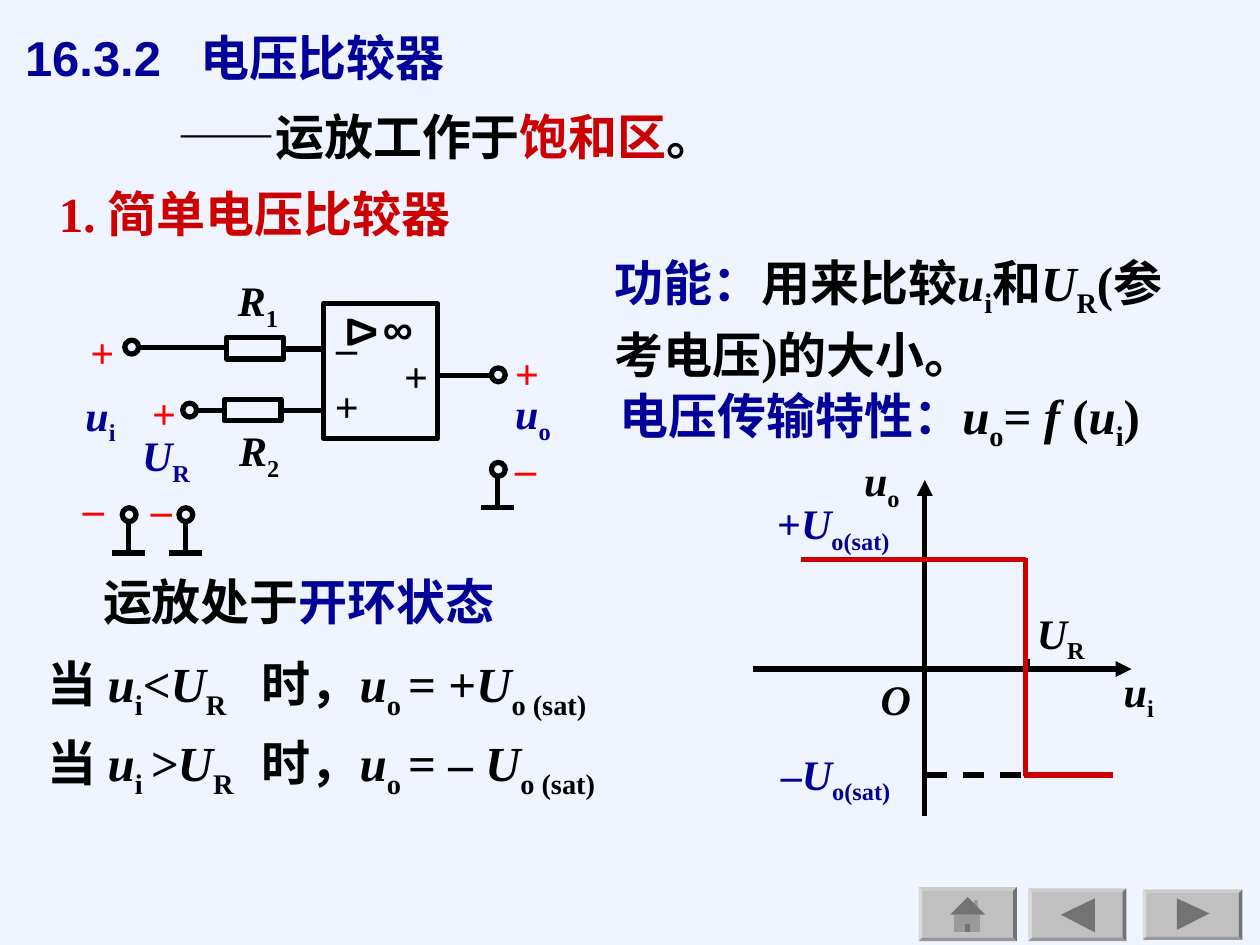
from pptx import Presentation
from pptx.dml.color import RGBColor
from pptx.enum.dml import MSO_LINE
from pptx.enum.shapes import MSO_CONNECTOR, MSO_SHAPE
from pptx.enum.text import MSO_ANCHOR
from pptx.oxml.ns import qn
from pptx.util import Inches, Pt
from lxml.etree import SubElement

HUE = {"back": "F0F4FF", "ink": "000000", "blue": "000099", "red": "CC0000",
       "sign": "FF0000", "key": "C0C0C0", "glyph": "737373", "wall": "9A9A9A"}
SERIF, SANS = "Times New Roman", "Arial"


def tint(name):
    """Return the colour stored under a name."""
    return RGBColor.from_string(HUE[name])


def fill_text(para, runs, size, hue, face):
    """Fill a paragraph with runs of text, style flags and colour."""
    for text, flags, own in runs:
        run = para.add_run()
        run.text = text
        if "i" in flags:
            run.font.italic = True
        if "s" in flags:
            run._r.get_or_add_rPr().set("baseline", "-25000")
        if own:
            run.font.color.rgb = tint(own)
    font = para.font
    font.size, font.name, font.bold = Pt(size), face, True
    font.color.rgb = tint(hue)


def put(slide, box, *lines, size=24, hue="ink", face=SERIF, wrap=True,
        lead=None, tab=None):
    """Add a text box with one paragraph for each line of runs."""
    shape = slide.shapes.add_textbox(*map(Inches, box))
    frame = shape.text_frame
    frame.word_wrap = wrap
    for i, runs in enumerate(lines):
        para = frame.add_paragraph() if i else frame.paragraphs[0]
        if i:
            para.space_before = Pt(7)
        if lead:
            para.line_spacing = lead
        if tab:
            tabs = SubElement(para._p.get_or_add_pPr(), qn("a:tabLst"))
            SubElement(tabs, qn("a:tab"), pos=str(Inches(tab)), algn="l")
        fill_text(para, runs, size, hue, face)
    return shape


def sub(name, low, own=None):
    """Return runs for an italic symbol with a subscript."""
    return [(name, "i", own), (low, "s", own)]


def wire(slide, x, y, ends, hue="ink", arrow=False, dash=False):
    """Draw a straight line between two points set from an origin."""
    a, b, c, d = ends
    line = slide.shapes.add_connector(
        MSO_CONNECTOR.STRAIGHT, *map(Inches, (x + a, y + b, x + c, y + d)))
    line.line.color.rgb = tint(hue)
    line.line.width = Pt(3)
    if dash:
        line.line.dash_style = MSO_LINE.DASH
    if arrow:
        SubElement(line.line._get_or_add_ln(), qn("a:tailEnd"), type="triangle")
    SubElement(line._element.spPr, qn("a:effectLst"))


def frame(slide, kind, box):
    """Draw an unfilled outline shape."""
    shape = slide.shapes.add_shape(kind, *map(Inches, box))
    shape.shadow.inherit = False
    shape.fill.background()
    shape.line.color.rgb = tint("ink")
    shape.line.width = Pt(3)


def node(slide, x, y):
    """Draw a round terminal."""
    frame(slide, MSO_SHAPE.OVAL, (x, y, 0.11, 0.11))


def ground(slide, x, y):
    """Draw a terminal with a stem and a ground bar."""
    wire(slide, x, y, (-0.08, 0.36, 0.18, 0.36))
    wire(slide, x, y, (0.05, 0.09, 0.05, 0.36))
    node(slide, x, y)


def circuit(slide, x, y):
    """Draw the comparator circuit from its top left corner."""
    for ends in [(1.3, 0.66, 0.58, 0.66), (1.28, 1.16, 1.07, 1.16),
                 (1.73, 1.16, 2.07, 1.16), (1.73, 0.67, 2.07, 0.67),
                 (2.97, 0.88, 3.41, 0.88)]:
        wire(slide, x, y, ends)
    for a, b, w, h in [(1.3, 0.58, 0.45, 0.17), (1.28, 1.07, 0.45, 0.17),
                       (2.07, 0.31, 0.9, 1.07)]:
        frame(slide, MSO_SHAPE.RECTANGLE, (x + a, y + b, w, h))
    for a, b in [(0.49, 0.6), (0.95, 1.1), (3.4, 0.82)]:
        node(slide, x + a, y + b)
    for a, b in [(0.47, 1.93), (0.92, 1.93), (3.4, 1.57)]:
        ground(slide, x + a, y + b)
    for a, b, name, low, hue in [
            (1.29, 0.03, "R", "1", "ink"), (1.3, 1.22, "R", "2", "ink"),
            (0.53, 1.26, "U", "R", "blue"), (0.08, 0.94, "u", "i", "blue"),
            (3.49, 0.93, "u", "o", "blue")]:
        put(slide, (x + a, y + b, 0.75, 0.56), sub(name, low), hue=hue)
    for a, b, mark, hue, face in [
            (2.06, 0.87, "+", "ink", SERIF), (2.61, 0.63, "+", "ink", SERIF),
            (2.07, 0.4, "–", "ink", SERIF), (2.44, 0.25, "∞", "ink", SANS),
            (3.49, 0.61, "+", "sign", SERIF), (3.49, 1.36, "–", "sign", SERIF),
            (0.12, 0.44, "+", "sign", SERIF), (0.61, 0.93, "+", "sign", SERIF),
            (0.06, 1.68, "–", "sign", SERIF), (0.6, 1.69, "–", "sign", SERIF)]:
        put(slide, (x + a, y + b, 0.5, 0.5), [(mark, "", None)], hue=hue, face=face)
    gain = put(slide, (x + 2.19, y + 0.27, 0.4, 0.5), [("Δ", "", None)],
               face=SANS, wrap=False)
    gain.rotation = 90


def graph(slide, x, y):
    """Draw the transfer curve from its top left corner."""
    wire(slide, x, y, (0.08, 1.81, 3.08, 1.81), arrow=True)
    wire(slide, x, y, (1.44, 2.98, 1.44, 0.31), arrow=True)
    wire(slide, x, y, (2.25, 1.73, 2.25, 1.81))
    wire(slide, x, y, (1.45, 2.65, 2.24, 2.65), dash=True)
    for ends in [(0.46, 0.94, 2.24, 0.94), (2.24, 0.93, 2.24, 2.66),
                 (2.23, 2.65, 2.93, 2.65)]:
        wire(slide, x, y, ends, "red")
    for a, b, w, runs, hue in [
            (2.92, 1.73, 0.58, sub("u", "i"), "ink"),
            (0.86, 0.06, 0.67, sub("u", "o"), "ink"),
            (0.99, 1.8, 0.42, [("O", "i", None)], "ink"),
            (2.23, 1.27, 0.58, sub("U", "R"), "ink"),
            (0.17, 0.4, 1.3, [("+", "", None)] + sub("U", "o(sat)"), "blue"),
            (0.2, 2.39, 1.3, [("–", "", None)] + sub("U", "o(sat)"), "blue")]:
        put(slide, (x + a, y + b, w, 0.56), runs, hue=hue)


def key(slide, box, parts):
    """Draw a raised button with a glyph set from its corner."""
    x, y = box[:2]
    base = slide.shapes.add_shape(MSO_SHAPE.BEVEL, *map(Inches, box))
    base.adjustments[0] = 0.07
    items = [(base, "key")]
    for hue, dots in parts:
        dots = [(Inches(x + a), Inches(y + b)) for a, b in dots]
        pen = slide.shapes.build_freeform(*dots[0], scale=1.0)
        pen.add_line_segments(dots[1:], close=True)
        items.append((pen.convert_to_shape(), hue))
    for shape, hue in items:
        shape.shadow.inherit = False
        shape.fill.solid()
        shape.fill.fore_color.rgb = tint(hue)
        shape.line.fill.background()


def block(a, b, c, d):
    """Return the corners of a rectangle."""
    return [(a, b), (c, b), (c, d), (a, d)]


def keys(slide, x, y):
    """Draw the three navigation buttons in a row."""
    key(slide, (x, y, 0.78, 0.43), [
        ("wall", block(0.44, 0.1, 0.47, 0.22)),
        ("wall", block(0.28, 0.22, 0.49, 0.36)),
        ("glyph", [(0.39, 0.08), (0.53, 0.22), (0.25, 0.22)]),
        ("glyph", block(0.37, 0.29, 0.41, 0.36))])
    key(slide, (x + 0.87, y + 0.01, 0.78, 0.42),
        [("glyph", [(0.26, 0.21), (0.53, 0.08), (0.53, 0.35)])])
    key(slide, (x + 1.78, y + 0.02, 0.79, 0.4),
        [("glyph", [(0.27, 0.07), (0.53, 0.19), (0.27, 0.32)])])


def heads(slide, x, y):
    """Place the title, its tagline and the section heading."""
    title = put(slide, (x, y - 0.02, 3.95, 0.61), [("16.3.2\t电压比较器", "", None)],
                size=28, hue="blue", face=SANS, tab=1.39)
    title.text_frame.vertical_anchor = MSO_ANCHOR.MIDDLE
    put(slide, (x + 1.21, y + 0.58, 5, 0.62),
        [("——运放工作于", "", None), ("饱和区", "", "red"), ("。", "", None)],
        size=28, lead=1.1)
    put(slide, (x + 0.27, y + 1.24, 4, 0.57), [("1. 简单电压比较器", "", None)],
        size=28, hue="red")


def case(sign, gap, out):
    """Return the runs for one comparison case."""
    return [("当 ", "", None), ("u", "i", None), ("i" + gap, "s", None),
            (sign + "U", "i", None), ("R", "s", None), ("\t时，", "", None),
            *sub("u", "o "), (out, "", None), *sub("U", "o (sat)")]


def notes(slide, x, y):
    """Place the explanations around the circuit and the graph."""
    put(slide, (x + 4.5, y, 4.78, 1.27),
        [("功能：", "", "blue"), ("用来比较", "", None), *sub("u", "i"),
         ("和", "", None), *sub("U", "R"), ("(参考电压)的大小。", "", None)],
        size=28, lead=1.1)
    put(slide, (x + 4.54, y + 1.11, 4.98, 0.63),
        [("电压传输特性：", "", "blue"), *sub("u", "o"), ("= ", "", None),
         ("f ", "i", None), ("(", "", None), *sub("u", "i"), (")", "", None)], size=28)
    put(slide, (x + 0.44, y + 2.54, 3.53, 0.62),
        [("运放处于", "", None), ("开环状态", "", "blue")], size=28, lead=1.1)
    put(slide, (x, y + 3.24, 5.2, 1.26), case("<", "", "= +"),
        case(">", " ", "= – "), size=28, tab=1.7)


def main():
    """Build and save the slide."""
    deck = Presentation()
    deck.slide_width, deck.slide_height = Inches(10), Inches(7.5)
    slide = deck.slides.add_slide(deck.slide_layouts[6])
    slide.background.fill.solid()
    slide.background.fill.fore_color.rgb = tint("back")
    keys(slide, 7.29, 7.04)
    heads(slide, 0.1, 0.17)
    circuit(slide, 0.5, 2.1)
    notes(slide, 0.28, 1.9)
    graph(slide, 5.9, 3.5)
    deck.save("out.pptx")


if __name__ == "__main__":
    main()
